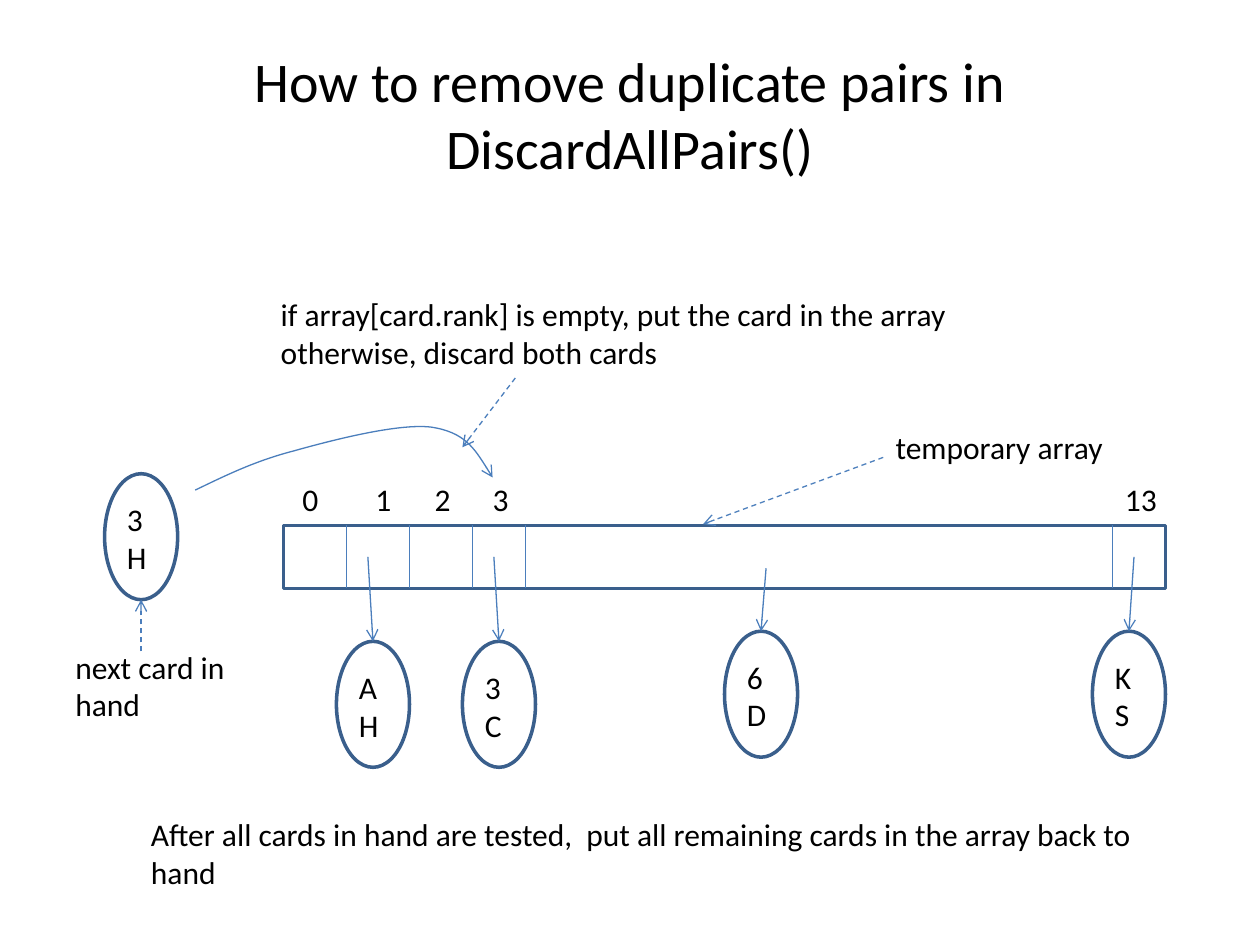
import pptx
import pptx.dml.color
import pptx.enum.dml
import pptx.enum.shapes
import pptx.enum.text
import pptx.oxml
import pptx.oxml.ns
import pptx.util
from lxml import etree

Inches = pptx.util.Inches
Pt = pptx.util.Pt
RGBColor = pptx.dml.color.RGBColor
SHAPE = pptx.enum.shapes.MSO_SHAPE
qn = pptx.oxml.ns.qn

BLACK = RGBColor(0x00, 0x00, 0x00)
OUTLINE = RGBColor(0x3A, 0x5F, 0x8C)
LINE = RGBColor(0x4B, 0x7E, 0xBC)
POINTER = RGBColor(0x4F, 0x81, 0xBD)
FONT = "Calibri"
CARD_W, CARD_H = 0.58, 1


def add_text(slide, box, lines, size=18):
    """Text box with one paragraph per line."""
    textbox = slide.shapes.add_textbox(*map(Inches, box))
    frame = textbox.text_frame
    frame.word_wrap = False
    for number, line in enumerate(lines):
        paragraph = frame.add_paragraph() if number else frame.paragraphs[0]
        run = paragraph.add_run()
        run.text = line
        run.font.name = FONT
        run.font.size = Pt(size)
        run.font.color.rgb = BLACK
    return frame


def add_outline(slide, preset, box):
    """Unfilled shape with a heavy outline."""
    outline = slide.shapes.add_shape(preset, *map(Inches, box))
    outline.shadow.inherit = False
    outline.fill.background()
    outline.line.color.rgb = OUTLINE
    outline.line.width = Pt(2)


def add_arrowhead(stroke):
    """Open arrowhead at the end of a line that is already formatted."""
    line = stroke._element.spPr.find(qn("a:ln"))
    etree.SubElement(line, qn("a:tailEnd"), type="arrow")


def add_line(slide, start, end, color=LINE, arrow=True, dashed=False):
    connector = slide.shapes.add_connector(
        pptx.enum.shapes.MSO_CONNECTOR.STRAIGHT, *map(Inches, (*start, *end)))
    connector.line.color.rgb = color
    connector.line.width = Pt(0.75)
    if dashed:
        connector.line.dash_style = pptx.enum.dml.MSO_LINE.DASH
    if arrow:
        add_arrowhead(connector)
    etree.SubElement(connector._element.spPr, qn("a:effectLst"))


def add_curve(slide, start, controls):
    """Open curve: every three control points make one Bezier segment."""
    builder = slide.shapes.build_freeform(*map(Inches, start), scale=1.0)
    builder.add_line_segments(
        [(Inches(x), Inches(y)) for x, y in controls], close=False)
    curve = builder.convert_to_shape()
    curve.shadow.inherit = False
    curve.fill.background()
    curve.line.color.rgb = LINE
    curve.line.width = Pt(0.75)
    add_arrowhead(curve)
    steps = list(curve._element.iter(qn("a:lnTo")))
    outline = steps[0].getparent()
    for first in range(0, len(steps), 3):
        bezier = etree.SubElement(outline, qn("a:cubicBezTo"))
        for step in steps[first:first + 3]:
            bezier.append(step[0])
            outline.remove(step)


def add_title(slide, box):
    frame = add_text(
        slide, box, ["How to remove duplicate pairs in DiscardAllPairs()"], 32)
    frame.word_wrap = True
    frame.vertical_anchor = pptx.enum.text.MSO_ANCHOR.MIDDLE
    frame.paragraphs[0].alignment = pptx.enum.text.PP_ALIGN.CENTER


def add_card(slide, left, top, rank, suit):
    add_outline(slide, SHAPE.OVAL, (left, top, CARD_W, CARD_H))
    add_text(slide, (left + 0.08, top + 0.16, 0.36, 0.71), [rank, suit])


def add_array(slide, box):
    """Array with cell dividers, indices and the cards it refers to."""
    left, top, width, height = box
    add_outline(slide, SHAPE.RECTANGLE, box)
    for offset in (0.5, 1, 1.5, 1.92, 6.58):
        x = left + offset
        add_line(slide, (x, top), (x, top + height), arrow=False)

    # Indices above the cells, spaced with tab stops
    indices = add_text(slide, (left, top - 0.41, 2.04, 0.4), ["0\t1\t2\t3"])
    indices.word_wrap = True
    indices.margin_left = Inches(0.15)
    properties = indices.paragraphs[0]._p.get_or_add_pPr()
    tabs = etree.SubElement(properties, qn("a:tabLst"))
    for stop in (0.58, 1.05, 1.51):
        etree.SubElement(tabs, qn("a:tab"), pos=str(Inches(stop)), algn="l")
    add_text(slide, (left + 6.58, top - 0.41, 0.46, 0.4), ["13"])

    # Stored cards: card offset, arrow start, rank, suit
    for card_x, card_y, arrow_x, arrow_y, rank, suit in (
            (0.42, 0.92, 0.67, 0.25, "A", "H"),
            (1.42, 0.92, 1.67, 0.25, "3", "C"),
            (3.5, 0.84, 3.83, 0.34, "6", "D"),
            (6.42, 0.84, 6.75, 0.25, "K", "S")):
        card_left, card_top = left + card_x, top + card_y
        add_card(slide, card_left, card_top, rank, suit)
        add_line(slide, (left + arrow_x, top + arrow_y),
                 (card_left + CARD_W / 2, card_top))

    # Name of the array
    add_text(slide, (left + 4.76, top - 0.82, 1.86, 0.4), ["temporary array"])
    add_line(slide, (left + 4.76, top - 0.54), (left + 3.33, top - 0.01),
             POINTER, dashed=True)


def add_next_card(slide, box):
    """Card waiting in the hand, with its caption below."""
    left, top, width, height = box
    card_left = left + 0.33
    middle = card_left + CARD_W / 2
    add_card(slide, card_left, top, "3", "H")
    add_text(slide, (left, top + height - 0.71, width, 0.71),
             ["next card in", "hand"])
    add_line(slide, (middle, top + 1.41), (middle, top + CARD_H), dashed=True)


def add_rule(slide, box):
    """Rule for placing a card, and the path the card takes."""
    left, top, width, height = box
    add_text(slide, box, [
        "if array[card.rank] is empty, put the card in the array",
        "otherwise, discard both cards"])
    add_line(slide, (left + 1.96, top + height),
             (left + 1.54, top + height + 0.55), dashed=True)
    path_points = [
        (-0.58, 1.6), (-0.35, 1.49), (-0.11, 1.37), (0.2, 1.29),
        (0.52, 1.2), (1.03, 1.07), (1.29, 1.1),
        (1.56, 1.14), (1.67, 1.32), (1.78, 1.5)]
    start, *controls = [(left + x, top + y) for x, y in path_points]
    add_curve(slide, start, controls)


def add_conclusion(slide, box):
    add_text(slide, box, [
        "After all cards in hand are tested,  put all remaining cards"
        " in the array back to",
        "hand"])


def main():
    deck = pptx.Presentation()
    deck.slide_width, deck.slide_height = Inches(10), Inches(7.5)
    slide = deck.slides.add_slide(deck.slide_layouts[6])
    add_title(slide, (0.5, 0.3, 9, 1.2))
    add_array(slide, (2.25, 4.17, 7, 0.5))
    add_next_card(slide, (0.5, 3.76, 1.46, 2.04))
    add_rule(slide, (2.13, 2.29, 5.54, 0.71))
    add_conclusion(slide, (1.1, 6.42, 8.14, 0.71))
    deck.save("out.pptx")


if __name__ == "__main__":
    main()
